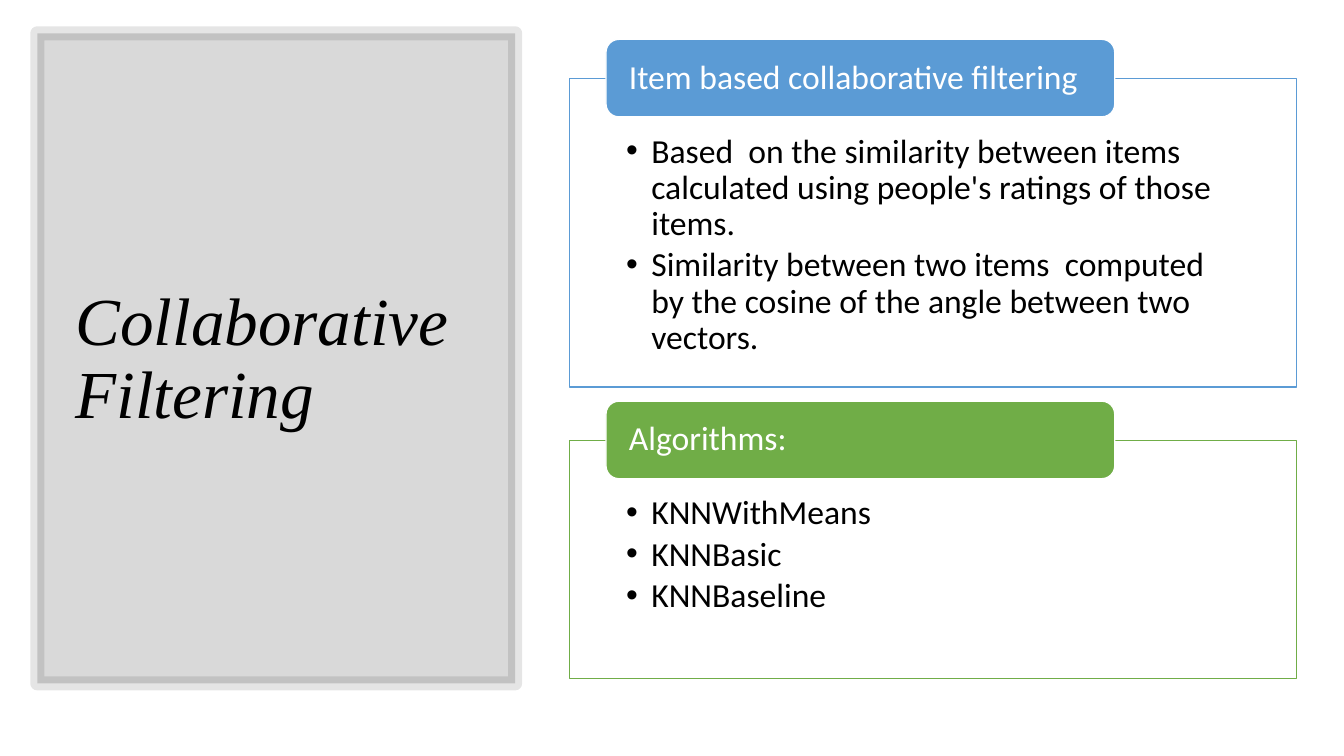
from lxml.etree import SubElement
from pptx import Presentation
from pptx.dml.color import RGBColor
from pptx.enum.shapes import MSO_SHAPE as Preset
from pptx.enum.text import MSO_ANCHOR as Anchor, PP_ALIGN as Align
from pptx.oxml.ns import qn
from pptx.util import Inches, Pt


def paint(fill, color, opacity=100):
    fill.solid()
    fill.fore_color.rgb = RGBColor.from_string(color)
    if opacity < 100:
        solid = fill._xPr.find(qn("a:solidFill"))
        SubElement(solid[0], qn("a:alpha"), val=str(opacity * 1000))


def add_block(slide, preset, box, fill, line, width=1, fill_opacity=100, line_opacity=100):
    block = slide.shapes.add_shape(preset, *map(Inches, box))
    block.shadow.inherit = False
    paint(block.fill, fill, fill_opacity)
    paint(block.line.fill, line, line_opacity)
    block.line.width = Pt(width)
    return block


def set_frame(owner, anchor, insets):
    frame = owner.text_frame
    frame.word_wrap = True
    frame.vertical_anchor = anchor
    (frame.margin_left, frame.margin_top,
     frame.margin_right, frame.margin_bottom) = map(Inches, insets)
    return frame


def write(paragraph, text, size, color, font="Calibri", italic=False):
    paragraph.alignment = Align.LEFT
    paragraph.line_spacing = 0.9
    run = paragraph.add_run()
    run.text = text
    run.font.size = Pt(size)
    run.font.name = font
    run.font.italic = italic
    run.font.color.rgb = RGBColor.from_string(color)


def add_bullet(paragraph):
    props = paragraph._p.get_or_add_pPr()
    props.set("marL", str(Inches(0.25)))
    props.set("indent", str(Inches(-0.25)))
    SubElement(props, qn("a:buFont"), typeface="Arial")
    SubElement(props, qn("a:buChar"), char="•")


def add_title_panel(slide, box, title):
    left, top, width, height = box
    add_block(slide, Preset.RECTANGLE, box, "000000", "000000", 10, 15, 10)
    heading = slide.shapes.add_textbox(
        Inches(left + 0.28), Inches(top + 0.37), Inches(width - 0.58), Inches(height - 0.7))
    frame = set_frame(heading, Anchor.MIDDLE, (0.1, 0.05, 0.1, 0.05))
    write(frame.paragraphs[0], title, 48, "000000", "Times New Roman", True)


def add_topic(slide, box, color, label, points):
    left, top, width, height = box
    body = add_block(slide, Preset.RECTANGLE, box, "FFFFFF", color, fill_opacity=90)
    frame = set_frame(body, Anchor.TOP, (0.56, 0.55, 0.56, 0.19))
    for index, point in enumerate(points):
        paragraph = frame.add_paragraph() if index else frame.paragraphs[0]
        write(paragraph, point, 24, "000000")
        paragraph.space_after = Pt(3.6)
        add_bullet(paragraph)

    tab_box = (left + 0.36, top - 0.39, width * 0.7, 0.77)
    tab = add_block(slide, Preset.ROUNDED_RECTANGLE, tab_box, color, "FFFFFF")
    frame = set_frame(tab, Anchor.MIDDLE, (0.19, 0, 0.19, 0))
    write(frame.paragraphs[0], label, 24, "FFFFFF")


def main():
    deck = Presentation()
    deck.slide_width, deck.slide_height = Inches(13.33), Inches(7.5)
    slide = deck.slides.add_slide(deck.slide_layouts[6])
    add_title_panel(slide, (0.37, 0.33, 4.74, 6.45), "Collaborative Filtering")
    add_topic(slide, (5.65, 0.78, 7.21, 3.06), "5B9BD5", "Item based collaborative filtering", [
        "Based  on the similarity between items calculated using people's ratings of those items.",
        "Similarity between two items  computed by the cosine of the angle between two vectors.",
    ])
    add_topic(slide, (5.65, 4.37, 7.21, 2.36), "70AD47", "Algorithms:",
              ["KNNWithMeans", "KNNBasic", "KNNBaseline"])
    deck.save("out.pptx")


if __name__ == "__main__":
    main()
